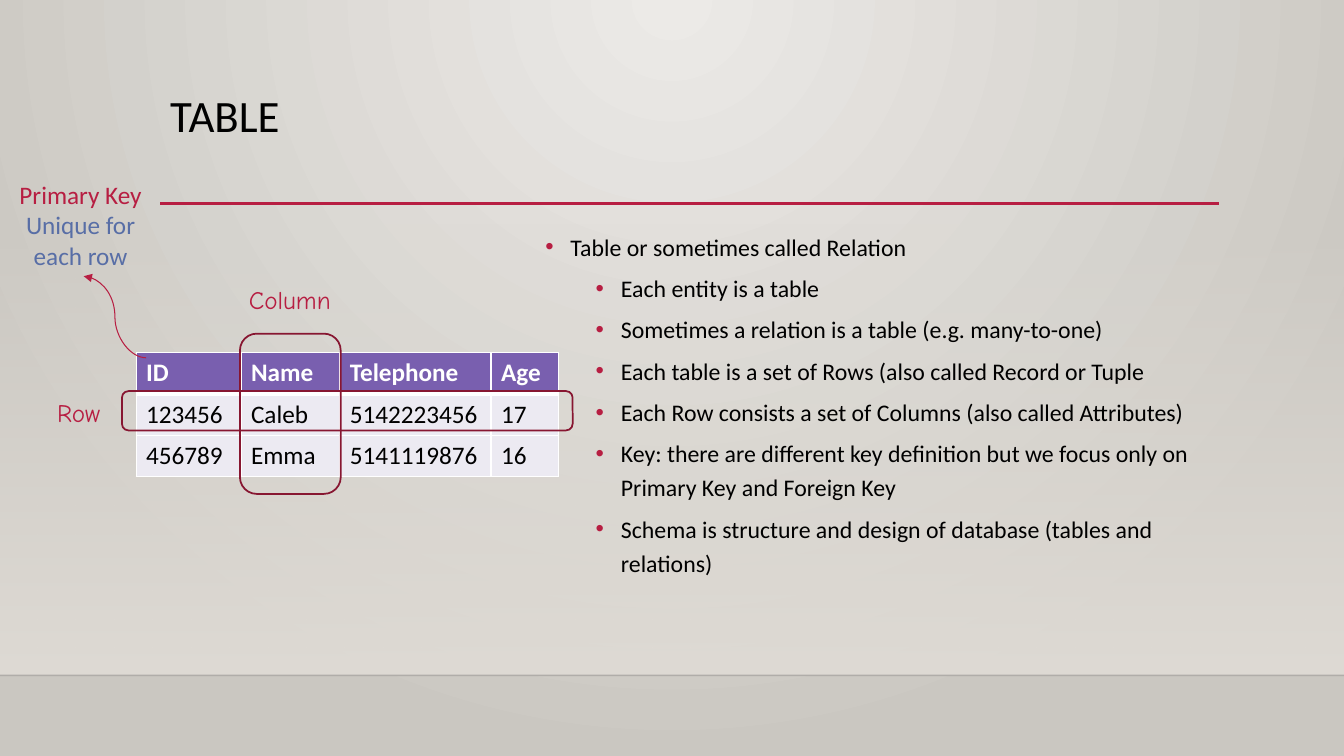
from dataclasses import dataclass

from lxml import etree
from pptx import Presentation
from pptx.dml.color import RGBColor
from pptx.enum.shapes import MSO_CONNECTOR, MSO_SHAPE
from pptx.enum.text import MSO_ANCHOR, PP_ALIGN
from pptx.oxml import parse_xml
from pptx.oxml.ns import nsdecls, qn
from pptx.util import Inches, Pt

STRAIGHT, CURVE = MSO_CONNECTOR.STRAIGHT, MSO_CONNECTOR.CURVE
RECTANGLE, ROUNDED = MSO_SHAPE.RECTANGLE, MSO_SHAPE.ROUNDED_RECTANGLE
LEFT, CENTER, TOP = PP_ALIGN.LEFT, PP_ALIGN.CENTER, MSO_ANCHOR.TOP


@dataclass(frozen=True)
class Theme:
    """Colours, fonts and type sizes of the slide."""
    ink: str = "000000"
    white: str = "FFFFFF"
    accent: str = "B71E42"
    outline: str = "871631"
    note: str = "586EA6"
    header: str = "795FAF"
    cell: str = "ECEAF2"
    glow: str = "ECEAE7"
    edge: str = "CAC7C1"
    wall: str = "DFDBD5"
    floor_line: str = "000001"
    font: str = "Calibri"
    label_font: str = "Comic Neue"
    title_size: int = 32
    body_size: int = 17
    label_size: int = 18


THEME = Theme()
SLIDE_WIDTH, SLIDE_HEIGHT = 13.33, 7.5
FLOOR_TOP = 6.7
TITLE = "TABLE"
LEAD = "Table or sometimes called Relation"
POINTS = [
    "Each entity is a table",
    "Sometimes a relation is a table (e.g. many-to-one)",
    "Each table is a set of Rows (also called Record or Tuple",
    "Each Row consists a set of Columns (also called Attributes)",
    "Key: there are different key definition but we focus only on Primary Key and Foreign Key",
    "Schema is structure and design of database (tables and relations)",
]
RECORDS = [
    ("ID", "Name", "Telephone", "Age"),
    ("123456", "Caleb", "5142223456", "17"),
    ("456789", "Emma", "5141119876", "16"),
]
COLUMN_WIDTHS = (1.04, 0.98, 1.5, 0.67)
ROW_HEIGHT = 0.41


def set_values(target, values):
    """Set each named attribute on the target."""
    for name, value in values.items():
        setattr(target, name, value)


def set_gradient(fill, owner, stops, direction):
    """Give a fill the (position, colour, opacity) stops and direction."""
    fill.gradient()
    gradient = owner.find(".//" + qn("a:gradFill"))
    marks = "".join(
        f'<a:gs pos="{position * 1000}"><a:srgbClr val="{color}">'
        f'<a:alpha val="{opacity * 1000}"/></a:srgbClr></a:gs>'
        for position, color, opacity in stops)
    gradient.getparent().replace(gradient, parse_xml(
        f'<a:gradFill {nsdecls("a")} rotWithShape="1"><a:gsLst>{marks}</a:gsLst>{direction}</a:gradFill>'))


def add_line(slide, kind, start, end, color, width):
    """Draw a connector without shadow between two points."""
    line = slide.shapes.add_connector(kind, *map(Inches, start + end))
    line.line.color.rgb = RGBColor.from_string(color)
    line.line.width = Pt(width)
    etree.SubElement(line.element.spPr, qn("a:effectLst"))
    return line


def write(paragraph, text, color, size, font=THEME.font, bold=False, **layout):
    """Write one formatted run into a paragraph."""
    set_values(paragraph, layout)
    run = paragraph.add_run()
    run.text = text
    set_values(run.font, {"name": font, "size": Pt(size), "bold": bold})
    run.font.color.rgb = RGBColor.from_string(color)


def add_text(slide, box, entries):
    """Place a text box holding one paragraph per entry."""
    frame = slide.shapes.add_textbox(*map(Inches, box)).text_frame
    set_values(frame, {"word_wrap": True, "vertical_anchor": TOP})
    for index, entry in enumerate(entries):
        paragraph = frame.add_paragraph() if index else frame.paragraphs[0]
        write(paragraph, **entry)
    return frame


def add_backdrop(slide):
    """Paint the room, its wall and the floor edge."""
    set_gradient(slide.background.fill, slide.element, [(0, THEME.glow, 100), (100, THEME.edge, 100)],
                 '<a:path path="circle"><a:fillToRect l="43000" t="0" r="43000" b="100000"/></a:path>')
    wall_top = 2.21
    wall = slide.shapes.add_shape(
        RECTANGLE, *map(Inches, (0, wall_top, SLIDE_WIDTH, FLOOR_TOP - wall_top)))
    wall.shadow.inherit = False
    wall.line.fill.background()
    set_gradient(wall.fill, wall.element.spPr, [(0, THEME.wall, 0), (100, THEME.wall, 100)],
                 '<a:lin ang="5400000" scaled="0"/>')
    edge = add_line(slide, STRAIGHT, (0, FLOOR_TOP), (SLIDE_WIDTH, FLOOR_TOP), THEME.floor_line, 1)
    color = edge.element.spPr.find(".//" + qn("a:srgbClr"))
    etree.SubElement(color, qn("a:alpha"), val="20000")


def add_title(slide, box):
    """Place the title and the rule under it."""
    left, top, width, height = box
    rule = top + height - 0.01
    add_line(slide, STRAIGHT, (left, rule), (left + width, rule), THEME.accent, 2.5)
    add_text(slide, box, [dict(text=TITLE, color=THEME.ink, size=THEME.title_size,
                               alignment=LEFT, line_spacing=0.9)])


def add_points(slide, box):
    """Place the bulleted lead and its second-level points."""
    entries = [dict(text=text, color=THEME.ink, size=THEME.body_size, level=level,
                    alignment=LEFT, line_spacing=1.2, space_before=Pt(5 if level else 10))
               for level, text in [(0, LEAD)] + [(1, point) for point in POINTS]]
    for paragraph in add_text(slide, box, entries).paragraphs:
        properties = paragraph._p.get_or_add_pPr()
        properties.set("marL", str(Inches(0.25 + 0.5 * paragraph.level)))
        properties.set("indent", str(Inches(-0.25)))
        color = etree.SubElement(properties, qn("a:buClr"))
        etree.SubElement(color, qn("a:srgbClr"), val=THEME.accent)
        etree.SubElement(properties, qn("a:buFont"), typeface="Arial")
        etree.SubElement(properties, qn("a:buChar"), char="•")


def set_borders(cell, widths):
    """Draw white borders of the given point widths on a cell."""
    properties = cell._tc.get_or_add_tcPr()
    for index, (side, width) in enumerate(widths.items()):
        properties.insert(index, parse_xml(
            f'<a:ln{side} {nsdecls("a")} w="{Pt(width)}"><a:solidFill>'
            f'<a:srgbClr val="{THEME.white}"/></a:solidFill></a:ln{side}>'))


def add_records(slide, left, top):
    """Place the table of records with its header row."""
    size = (sum(COLUMN_WIDTHS), ROW_HEIGHT * len(RECORDS))
    table = slide.shapes.add_table(
        len(RECORDS), len(COLUMN_WIDTHS), *map(Inches, (left, top) + size)).table
    for column, width in zip(table.columns, COLUMN_WIDTHS):
        column.width = Inches(width)
    for row_index, record in enumerate(RECORDS):
        table.rows[row_index].height = Inches(ROW_HEIGHT)
        is_header = row_index == 0
        for column_index, text in enumerate(record):
            cell = table.cell(row_index, column_index)
            cell.fill.solid()
            cell.fill.fore_color.rgb = RGBColor.from_string(THEME.header if is_header else THEME.cell)
            write(cell.text_frame.paragraphs[0], text, THEME.white if is_header else THEME.ink,
                  THEME.label_size, bold=is_header)
            set_borders(cell, {"L": 1, "R": 1, "T": 3 if row_index == 1 else 1, "B": 3 if is_header else 1})


def add_marker(slide, box, label, label_box):
    """Outline a part of the table and name it."""
    frame = slide.shapes.add_shape(ROUNDED, *map(Inches, box))
    frame.shadow.inherit = False
    frame.fill.background()
    frame.line.color.rgb = RGBColor.from_string(THEME.outline)
    frame.line.width = Pt(1.25)
    add_text(slide, label_box, [dict(text=label, color=THEME.accent, size=THEME.label_size,
                                     font=THEME.label_font, alignment=CENTER)])


def add_key_note(slide, box, start):
    """Place the primary key note and the curved arrow to it."""
    left, top, width, height = box
    arrow = add_line(slide, CURVE, start, (left + 0.83, top + height), THEME.accent, 0.75)
    etree.SubElement(arrow.line._get_or_add_ln(), qn("a:tailEnd"), type="triangle")
    add_text(slide, box, [
        dict(text=text, color=color, size=THEME.label_size, alignment=CENTER)
        for text, color in [("Primary Key", THEME.accent), ("Unique for each row", THEME.note)]])


def main():
    """Build the slide and save it."""
    presentation = Presentation()
    set_values(presentation, {"slide_width": Inches(SLIDE_WIDTH), "slide_height": Inches(SLIDE_HEIGHT)})
    slide = presentation.slides.add_slide(presentation.slide_layouts[6])
    add_backdrop(slide)
    add_title(slide, (1.59, 0.88, 10.5, 1.15))
    add_points(slide, (5.31, 2.2, 6.78, 3.77))
    add_records(slide, 1.35, 3.5)
    add_marker(slide, (2.38, 3.31, 1, 1.59), "Column", (2.26, 2.77, 1.23, 0.4))
    add_marker(slide, (1.21, 3.88, 4.47, 0.39), "Row", (0.37, 3.89, 0.82, 0.4))
    add_key_note(slide, (0, 1.73, 1.6, 1.01), (1.45, 3.55))
    presentation.save("out.pptx")


if __name__ == "__main__":
    main()
